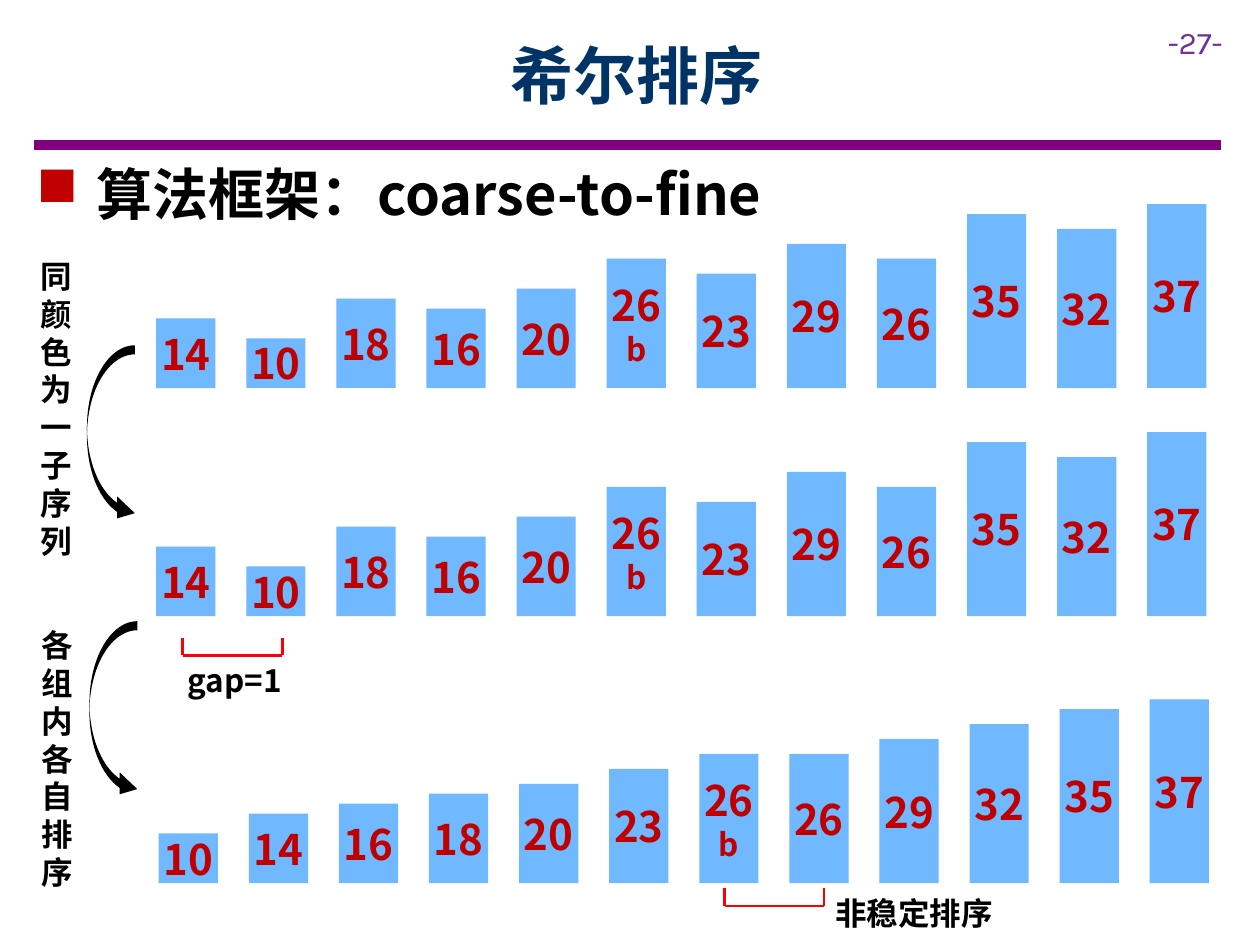
from lxml import etree
from pptx import Presentation
from pptx.dml.color import RGBColor
from pptx.enum.shapes import MSO_CONNECTOR, MSO_SHAPE
from pptx.enum.text import MSO_ANCHOR, PP_ALIGN
from pptx.oxml.ns import qn
from pptx.util import Inches, Pt

STRAIGHT = MSO_CONNECTOR.STRAIGHT
RECT, CURVED_ARROW = MSO_SHAPE.RECTANGLE, MSO_SHAPE.CURVED_RIGHT_ARROW
MIDDLE, TOP = MSO_ANCHOR.MIDDLE, MSO_ANCHOR.TOP
CENTER, LEFT = PP_ALIGN.CENTER, PP_ALIGN.LEFT

NAVY = RGBColor(0x00, 0x33, 0x66)
PURPLE = RGBColor(0x80, 0x00, 0x80)
VIOLET = RGBColor(0x70, 0x30, 0xA0)
BLUE = RGBColor(0x70, 0xB8, 0xFF)
DARK_RED = RGBColor(0xC0, 0x00, 0x00)
RED = RGBColor(0xFF, 0x00, 0x00)
BLACK = RGBColor(0x00, 0x00, 0x00)
CJK, LATIN = "Noto Sans CJK SC", "Karla"

TITLE = "希尔排序"
HEADING = " 算法框架：coarse-to-fine"
PAGE = "-27-"
UNSORTED = ["14", "10", "18", "16", "20", "26b", "23", "29", "26", "35", "32", "37"]
SORTED = ["10", "14", "16", "18", "20", "23", "26b", "26", "29", "32", "35", "37"]
# left of the first bar, baseline, values
ROWS = [(1.24, 3.08, UNSORTED), (1.24, 4.89, UNSORTED), (1.26, 7.01, SORTED)]
BAR_WIDTH, BAR_PITCH = 0.47, 0.715
UNIT = 1.46 / 37  # bar height for a value of 1
# text, text box, arrow left and top
STEPS = [
    ("同颜色为一子序列", (0.22, 1.99, 0.52, 2.52), (0.69, 2.74)),
    ("各组内各自排序", (0.23, 4.92, 0.52, 2.22), (0.71, 4.93)),
]
# bracket left and bottom, label, label box
BRACKETS = [
    (1.45, 5.2, "gap=1", (1.39, 5.2, 1.03, 0.4)),
    (5.75, 7.19, "非稳定排序", (6.53, 7.05, 1.46, 0.4)),
]
BRACKET_WIDTH, BRACKET_HEIGHT = 0.79, 0.14


def set_font(p, size, color, bold=True, name=CJK):
    p.font.size, p.font.bold, p.font.name = Pt(size), bold, name
    p.font.color.rgb = color
    for r in p.runs:
        ea = etree.SubElement(r._r.get_or_add_rPr(), qn("a:ea"))
        ea.set("typeface", name)


def add_text(s, text, box, size, color=BLACK, bold=True, name=CJK,
             align=LEFT, anchor=TOP, wrap=True):
    tf = s.shapes.add_textbox(*map(Inches, box)).text_frame
    tf.word_wrap, tf.vertical_anchor = wrap, anchor
    p = tf.paragraphs[0]
    p.text, p.alignment = text, align
    set_font(p, size, color, bold, name)
    return p


def add_line(s, x1, y1, x2, y2, color, width):
    line = s.shapes.add_connector(STRAIGHT, *map(Inches, (x1, y1, x2, y2)))
    line.line.color.rgb, line.line.width = color, Pt(width)
    etree.SubElement(line._element.spPr, qn("a:effectLst"))


def add_solid(s, kind, box, color):
    sp = s.shapes.add_shape(kind, *map(Inches, box))
    sp.shadow.inherit = False
    sp.fill.solid()
    sp.fill.fore_color.rgb = color
    sp.line.fill.background()
    return sp


def add_bullet(p):
    pPr = p._p.get_or_add_pPr()
    pPr.set("marL", str(Inches(0.38)))
    pPr.set("indent", str(Inches(-0.38)))
    color = etree.Element(qn("a:buClr"))
    etree.SubElement(color, qn("a:srgbClr")).set("val", str(DARK_RED))
    char = etree.Element(qn("a:buChar"))
    char.set("char", "■")
    pPr.insert(0, color)
    pPr.insert(1, char)


def add_bar(s, left, bottom, label):
    number, mark = label[:2], label[2:]
    height = int(number) * UNIT
    sp = add_solid(s, RECT, (left, bottom - height, BAR_WIDTH, height), BLUE)
    tf = sp.text_frame
    tf.vertical_anchor = MIDDLE
    tf.margin_left = tf.margin_right = 0
    tf.margin_top = tf.margin_bottom = Inches(0.1)
    tf.text = f"{number}\n{mark}" if mark else number
    for p, size in zip(tf.paragraphs, (24, 18)):
        p.alignment = CENTER
        set_font(p, size, DARK_RED)


def add_bracket(s, left, bottom):
    right, top = left + BRACKET_WIDTH, bottom - BRACKET_HEIGHT
    add_line(s, left, bottom, right, bottom, RED, 1.5)
    for x in (left, right):
        add_line(s, x, bottom, x, top, RED, 1.5)


prs = Presentation()
prs.slide_width, prs.slide_height = Inches(10), Inches(7.5)
s = prs.slides.add_slide(prs.slide_layouts[6])

add_line(s, 0.27, 1.15, 9.69, 1.15, PURPLE, 6)
add_text(s, PAGE, (9.17, 0.13, 0.83, 0.4), 18, VIOLET, bold=False, name=LATIN)
add_text(s, TITLE, (0.9, 0.09, 8.31, 1), 36, NAVY, align=CENTER, anchor=MIDDLE)
add_bullet(add_text(s, HEADING, (0.19, 1.22, 9.54, 0.64), 32))

for text, box, (left, top) in STEPS:
    arrow = add_solid(s, CURVED_ARROW, (left, top, 0.38, 1.42), BLACK)
    for i, value in enumerate((0.19, 0.46, 0.37)):
        arrow.adjustments[i] = value
    add_text(s, text, box, 18)

for left, bottom, labels in ROWS:
    for i, label in enumerate(labels):
        add_bar(s, left + i * BAR_PITCH, bottom, label)

for left, bottom, label, box in BRACKETS:
    add_bracket(s, left, bottom)
    add_text(s, label, box, 18, wrap=False)

prs.save("out.pptx")
